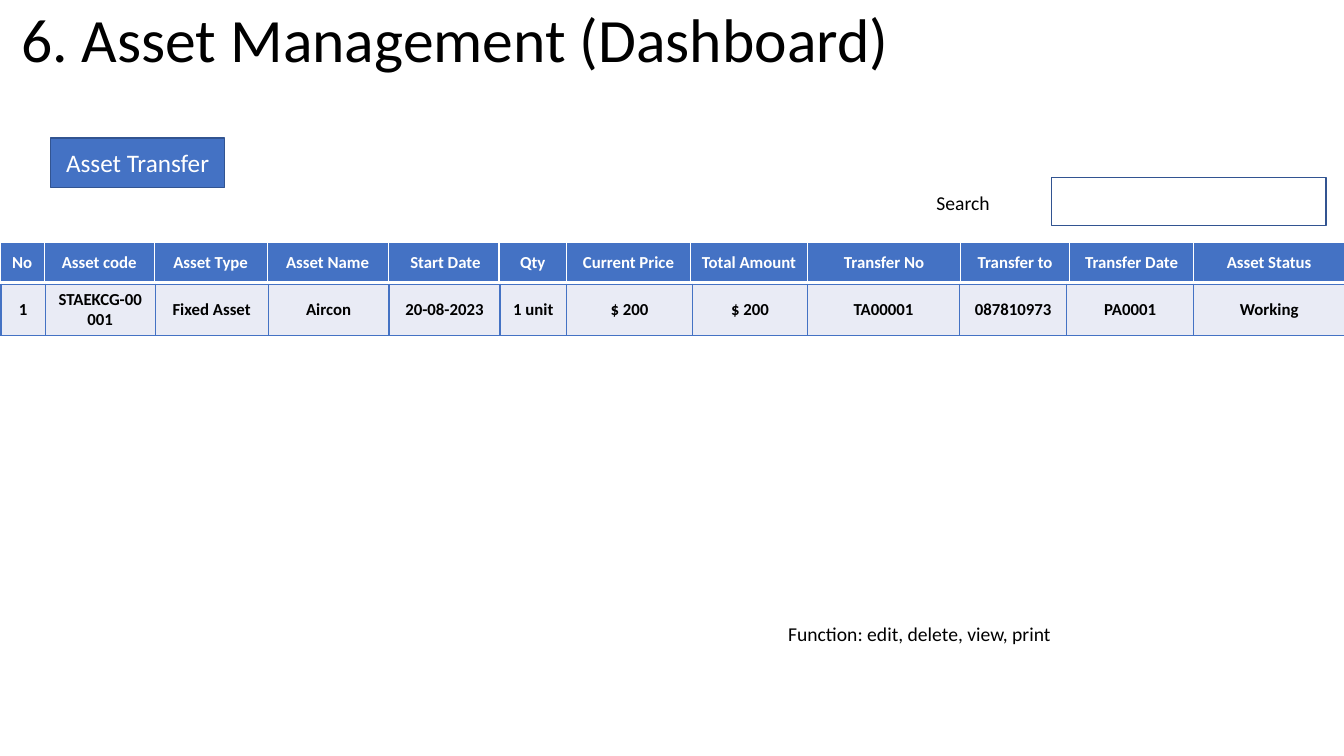
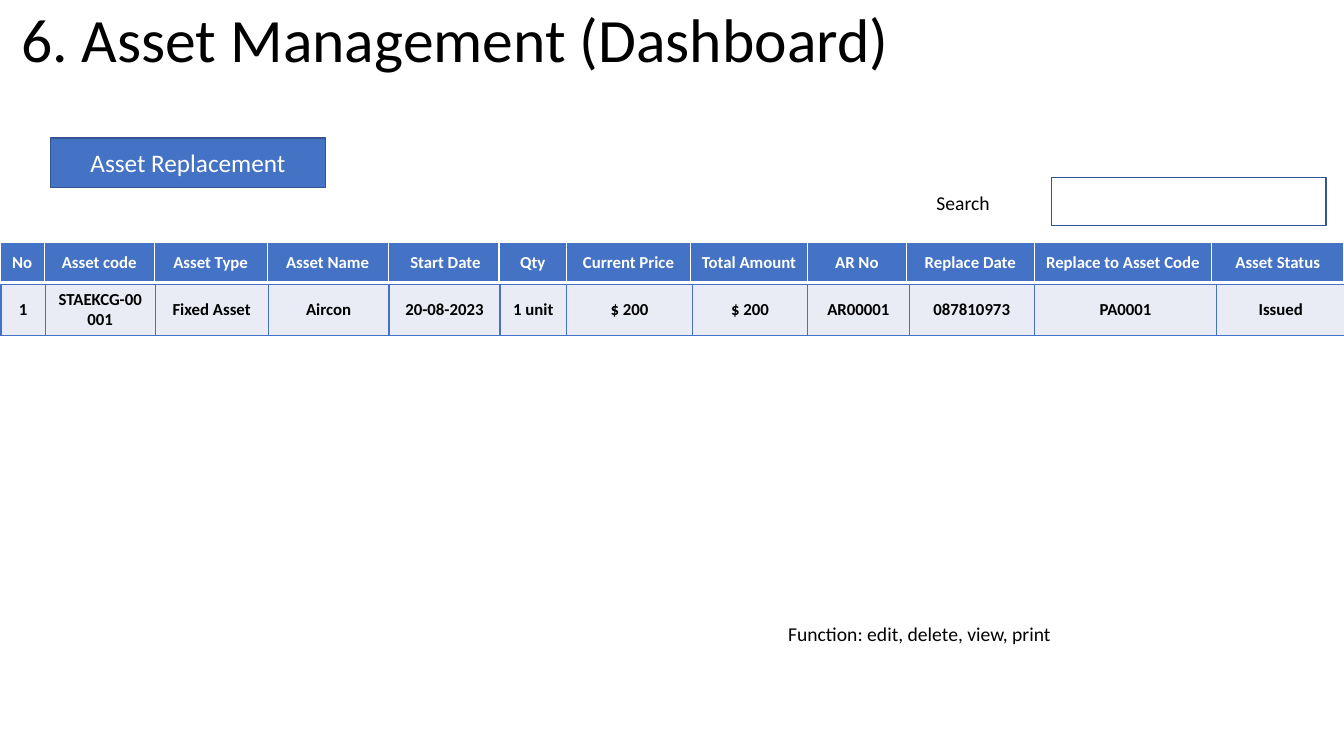
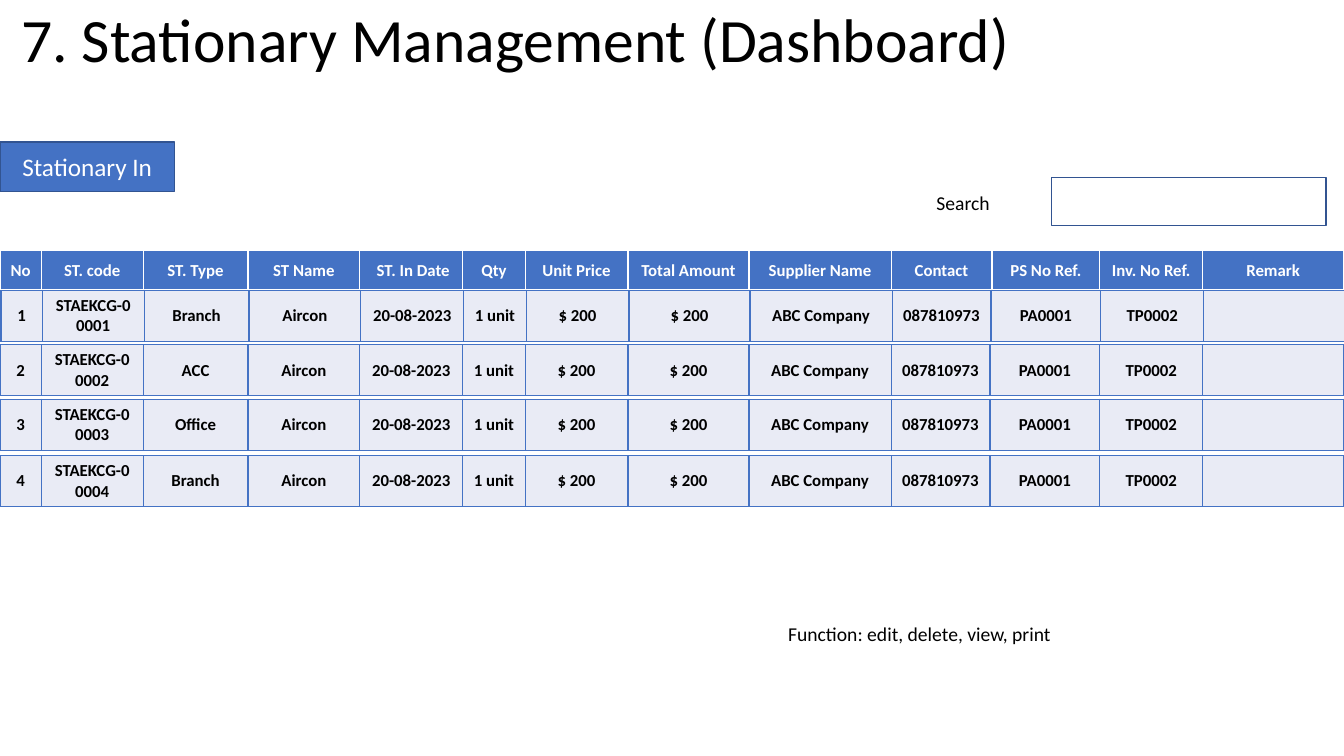
from dataclasses import dataclass
from typing import Any

from lxml.etree import SubElement
from pptx import Presentation
from pptx.dml.color import RGBColor
from pptx.enum.shapes import MSO_SHAPE
from pptx.enum.text import MSO_ANCHOR, MSO_AUTO_SIZE, PP_ALIGN
from pptx.oxml.ns import qn
from pptx.util import Inches, Pt

COLORS = {
    "text": "000000",
    "white": "FFFFFF",
    "accent": "4472C4",
    "outline": "325491",
    "record": "E9EBF5",
}


@dataclass(frozen=True)
class Area:
    left: float
    top: float
    width: float
    height: float


@dataclass(frozen=True)
class RowStyle:
    fill: str
    text: str
    border: str
    bottom_points: float
    height: float


@dataclass(frozen=True)
class TableRow:
    left: float
    top: float
    cells: tuple[str, ...]
    widths: tuple[float, ...]
    style: RowStyle


@dataclass(frozen=True)
class Dashboard:
    title: str
    button: str
    button_area: Area
    rows: tuple[TableRow, ...]


HEADER = RowStyle("accent", "white", "white", 3, 0.41)
RECORD = RowStyle("record", "text", "accent", 1, 0.5)

TITLE_AREA = Area(0.11, 0.04, 11.5, 0.85)
SEARCH_LABEL_AREA = Area(8.69, 1.77, 1.77, 0.49)
SEARCH_FIELD_AREA = Area(10.43, 1.76, 2.72, 0.48)
FUNCTION_AREA = Area(6.22, 6.04, 5.8, 0.49)

TITLE_FONT = {"name": "Calibri", "size": Pt(44), "bold": False}
BUTTON_FONT = {"name": "Calibri", "size": Pt(18)}
LABEL_FONT = {"name": "Calibri", "size": Pt(14)}
TABLE_FONT = {"name": "Calibri", "size": Pt(12), "bold": True}
CENTERED_FRAME = {"word_wrap": True, "vertical_anchor": MSO_ANCHOR.MIDDLE}
TITLE_FRAME = {
    "word_wrap": True,
    "vertical_anchor": MSO_ANCHOR.TOP,
    "auto_size": MSO_AUTO_SIZE.NONE,
}
TITLE_PARAGRAPH = {"alignment": PP_ALIGN.LEFT, "line_spacing": 0.9}
CENTERED_PARAGRAPH = {"alignment": PP_ALIGN.CENTER}
PLAIN_TABLE = {"first_row": False, "horz_banding": False}

ASSET_HEADINGS = (
    "No", "Asset code", "Asset Type", "Asset Name",
    " Start Date", "Qty", "Current Price", "Total Amount",
)
ASSET_VALUES = (
    "1", "STAEKCG-00001", "Fixed Asset", "Aircon",
    "20-08-2023", "1 unit", "$ 200", "$ 200",
)
ASSET_HEADING_WIDTHS = (0.44, 1.09, 1.12, 1.2, 1.1, 0.67, 1.23, 1.16)
ASSET_VALUE_WIDTHS = (0.44, 1.09, 1.12, 1.2, 1.1, 0.66, 1.25, 1.14)

STATIONARY_HEADINGS = (
    "No", "ST. code", "ST. Type", "ST Name", " ST. In Date", "Qty", "Unit Price",
    "Total Amount", "Supplier Name", "Contact", "PS No Ref.", "Inv. No Ref.", "Remark",
)
STATIONARY_SHARED_VALUES = (
    "Aircon", "20-08-2023", "1 unit", "$ 200", "$ 200",
    "ABC Company", "087810973", "PA0001", "TP0002", "",
)
STATIONARY_START_WIDTHS = (0.41, 1.01, 1.04, 1.11, 1.02, 0.62, 1.02, 1.2, 1.41)
STATIONARY_HEADING_WIDTHS = STATIONARY_START_WIDTHS + (1.0, 1.07, 1.02, 1.4)
STATIONARY_VALUE_WIDTHS = STATIONARY_START_WIDTHS + (0.98, 1.09, 1.02, 1.4)
STATIONARY_RECORDS = (
    ("Branch", 0.01, 2.88),
    ("ACC", 0, 3.42),
    ("Office", 0, 3.96),
    ("Branch", 0, 4.52),
)


def asset_rows(
    headings: tuple[str, ...],
    heading_widths: tuple[float, ...],
    values: tuple[str, ...],
    value_widths: tuple[float, ...],
) -> tuple[TableRow, ...]:
    return (
        TableRow(0, 2.4, ASSET_HEADINGS + headings,
                 ASSET_HEADING_WIDTHS + heading_widths, HEADER),
        TableRow(0.01, 2.82, ASSET_VALUES + values,
                 ASSET_VALUE_WIDTHS + value_widths, RECORD),
    )


def stationary_rows() -> tuple[TableRow, ...]:
    header = TableRow(0, 2.48, STATIONARY_HEADINGS, STATIONARY_HEADING_WIDTHS, HEADER)
    records = tuple(
        TableRow(
            left, top,
            (str(number), f"STAEKCG-0000{number}", kind) + STATIONARY_SHARED_VALUES,
            STATIONARY_VALUE_WIDTHS, RECORD,
        )
        for number, (kind, left, top) in enumerate(STATIONARY_RECORDS, start=1)
    )
    return (header,) + records


DASHBOARDS = (
    Dashboard(
        "6. Asset Management (Dashboard)", "Asset Transfer", Area(0.5, 1.37, 1.73, 0.49),
        asset_rows(
            ("Transfer No", "Transfer to", "Transfer Date", "Asset Status"),
            (1.52, 1.08, 1.23, 1.5),
            ("TA00001", "087810973", "PA0001", "Working"),
            (1.51, 1.06, 1.26, 1.5),
        ),
    ),
    Dashboard(
        "6. Asset Management (Dashboard)", "Asset Replacement", Area(0.5, 1.37, 2.73, 0.49),
        asset_rows(
            ("AR No", "Replace Date", "Replace to Asset Code", "Asset Status"),
            (0.98, 1.27, 1.76, 1.31),
            ("AR00001", "087810973", "PA0001", "Issued"),
            (1.01, 1.24, 1.81, 1.27),
        ),
    ),
    Dashboard(
        "7. Stationary Management (Dashboard)", "Stationary In",
        Area(0, 1.41, 1.73, 0.49), stationary_rows(),
    ),
)


def color(name: str) -> RGBColor:
    return RGBColor.from_string(COLORS[name])


def apply_format(target: Any, values: dict[str, Any]) -> None:
    for name, value in values.items():
        setattr(target, name, value)


def bounds(area: Area) -> tuple[int, int, int, int]:
    return Inches(area.left), Inches(area.top), Inches(area.width), Inches(area.height)


def write_text(
    frame: Any,
    text: str,
    font: dict[str, Any],
    color_name: str,
    frame_format: dict[str, Any] = CENTERED_FRAME,
    paragraph_format: dict[str, Any] = CENTERED_PARAGRAPH,
) -> None:
    apply_format(frame, frame_format)
    para = frame.paragraphs[0]
    apply_format(para, paragraph_format)
    if text:
        span = para.add_run()
        span.text = text
        apply_format(span.font, font)
        span.font.color.rgb = color(color_name)
    else:
        apply_format(para.font, font)


def add_title(page: Any, text: str) -> None:
    title = page.shapes.title
    title.left, title.top, title.width, title.height = bounds(TITLE_AREA)
    write_text(title.text_frame, text, TITLE_FONT, "text", TITLE_FRAME, TITLE_PARAGRAPH)


def add_box(page: Any, area: Area) -> Any:
    box = page.shapes.add_shape(MSO_SHAPE.RECTANGLE, *bounds(area))
    box.shadow.inherit = False
    box.line.color.rgb = color("outline")
    box.line.width = Pt(1)
    return box


def add_button(page: Any, text: str, area: Area) -> None:
    button = add_box(page, area)
    button.fill.solid()
    button.fill.fore_color.rgb = color("accent")
    write_text(button.text_frame, text, BUTTON_FONT, "white")


def add_label(page: Any, text: str, area: Area) -> None:
    label = page.shapes.add_textbox(*bounds(area))
    write_text(label.text_frame, text, LABEL_FONT, "text")


def add_borders(cell: Any, style: RowStyle) -> None:
    properties = cell._tc.get_or_add_tcPr()
    edges = {"a:lnL": 1, "a:lnR": 1, "a:lnT": 1, "a:lnB": style.bottom_points}
    for tag, points in edges.items():
        border = SubElement(properties, qn(tag), w=str(Pt(points)))
        fill = SubElement(border, qn("a:solidFill"))
        SubElement(fill, qn("a:srgbClr"), val=COLORS[style.border])


def add_table_row(page: Any, row: TableRow) -> None:
    style = row.style
    area = Area(row.left, row.top, sum(row.widths), style.height)
    table = page.shapes.add_table(1, len(row.cells), *bounds(area)).table
    apply_format(table, PLAIN_TABLE)
    for column, cell, width, text in zip(
        table.columns, table.rows[0].cells, row.widths, row.cells
    ):
        column.width = Inches(width)
        add_borders(cell, style)
        cell.fill.solid()
        cell.fill.fore_color.rgb = color(style.fill)
        cell.vertical_anchor = MSO_ANCHOR.MIDDLE
        write_text(cell.text_frame, text, TABLE_FONT, style.text, {})


def add_dashboard(deck: Any, dashboard: Dashboard) -> None:
    page = deck.slides.add_slide(deck.slide_layouts[5])
    add_title(page, dashboard.title)
    add_button(page, dashboard.button, dashboard.button_area)
    for row in dashboard.rows:
        add_table_row(page, row)
    add_label(page, "Function: edit, delete, view, print", FUNCTION_AREA)
    add_box(page, SEARCH_FIELD_AREA).fill.background()
    add_label(page, "Search ", SEARCH_LABEL_AREA)


def main() -> None:
    deck = Presentation()
    deck.slide_width = Inches(13.33)
    deck.slide_height = Inches(7.5)
    for dashboard in DASHBOARDS:
        add_dashboard(deck, dashboard)
    deck.save("out.pptx")


if __name__ == "__main__":
    main()
